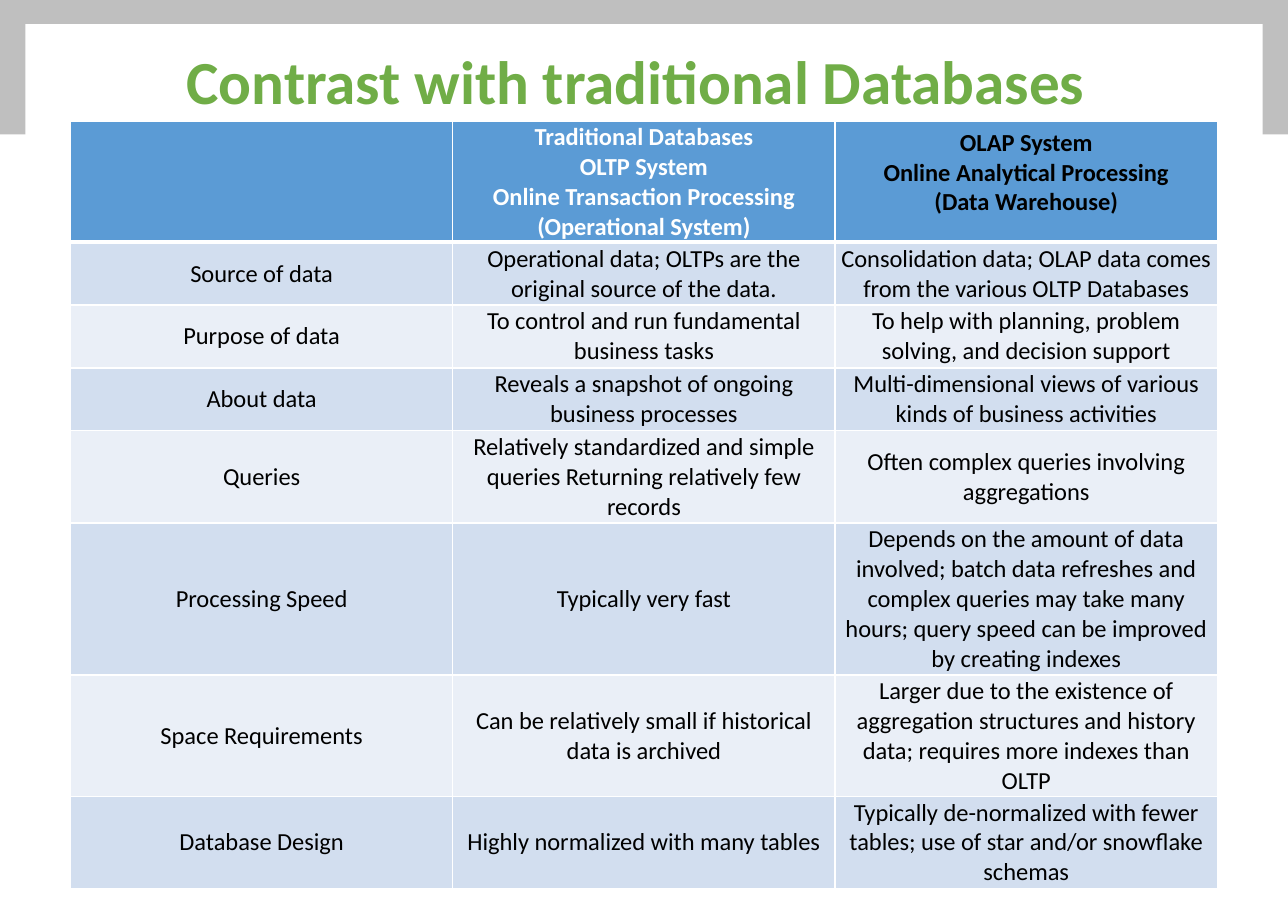
from pptx import Presentation
from pptx.dml.color import RGBColor
from pptx.enum.shapes import MSO_SHAPE
from pptx.enum.text import MSO_ANCHOR, PP_ALIGN
from pptx.oxml import parse_xml
from pptx.oxml.ns import nsdecls
from pptx.util import Inches, Pt

WHITE = RGBColor(0xFF, 0xFF, 0xFF)
BLACK = RGBColor(0, 0, 0)
GRAY = RGBColor(0xBF, 0xBF, 0xBF)
GREEN = RGBColor(0x70, 0xAD, 0x47)
BLUE = RGBColor(0x5B, 0x9B, 0xD5)
BANDS = [RGBColor(0xEA, 0xEF, 0xF7), RGBColor(0xD2, 0xDE, 0xEF)]

# \v is a line break, \n a new paragraph
ROWS = [
    ("", "Traditional Databases\nOLTP System\vOnline Transaction Processing\v(Operational System)",
     "OLAP System\vOnline Analytical Processing\v(Data Warehouse)"),
    ("Source of data", "Operational data; OLTPs are the original source of the data.",
     "Consolidation data; OLAP data comes from the various OLTP Databases"),
    ("Purpose of data", "To control and run fundamental business tasks",
     "To help with planning, problem solving, and decision support"),
    ("About data", "Reveals a snapshot of ongoing business processes",
     "Multi-dimensional views of various kinds of business activities"),
    ("Queries", "Relatively standardized and simple queries Returning relatively few records",
     "Often complex queries involving aggregations"),
    ("Processing Speed", "Typically very fast",
     "Depends on the amount of data involved; batch data refreshes and complex queries "
     "may take many hours; query speed can be improved by creating indexes"),
    ("Space Requirements", "Can be relatively small if historical data is archived",
     "Larger due to the existence of aggregation structures and history data; "
     "requires more indexes than OLTP"),
    ("Database Design", "Highly normalized with many tables",
     "Typically de-normalized with fewer tables; use of star and/or snowflake schemas"),
]
HEIGHTS = [1.1, 0.57, 0.57, 0.57, 0.84, 1.38, 1.1, 0.84]
COL_WIDTH = 3.47


def style_paragraph(p, size, color, bold):
    p.alignment = PP_ALIGN.CENTER
    p.font.name = "Calibri"
    p.font.size = Pt(size)
    p.font.bold = bold
    p.font.color.rgb = color


def add_borders(cell, top, bottom):
    """Draw white cell borders; top and bottom widths are in points."""
    for side, width in (("L", 1), ("R", 1), ("T", top), ("B", bottom)):
        cell._tc.get_or_add_tcPr().append(parse_xml(
            f'<a:ln{side} {nsdecls("a")} w="{Pt(width)}"><a:solidFill>'
            f'<a:srgbClr val="{WHITE}"/></a:solidFill></a:ln{side}>'))


prs = Presentation()
prs.slide_width, prs.slide_height = Inches(11.69), Inches(8.27)
s = prs.slides.add_slide(prs.slide_layouts[6])

# Gray band with the white page over it
for box, color in (((0, 0, 11.69, 1.22), GRAY), ((0.23, 0.22, 11.23, 8.04), WHITE)):
    sp = s.shapes.add_shape(MSO_SHAPE.RECTANGLE, *map(Inches, box))
    sp.shadow.inherit = False
    sp.fill.solid()
    sp.fill.fore_color.rgb = color
    sp.line.fill.background()

# Title
title = s.shapes.add_textbox(Inches(0.32), Inches(0.3), Inches(11.05), Inches(0.65))
tf = title.text_frame
tf.word_wrap = True
tf.margin_top = Inches(0.09)
tf.margin_right = Inches(0.25)
tf.text = "Contrast with traditional Databases"
style_paragraph(tf.paragraphs[0], 40, GREEN, True)

# Comparison table
table = s.shapes.add_table(len(ROWS), 3, Inches(0.64), Inches(1.1),
                           Inches(3 * COL_WIDTH), Inches(sum(HEIGHTS))).table
for col in table.columns:
    col.width = Inches(COL_WIDTH)

for i, (texts, height) in enumerate(zip(ROWS, HEIGHTS)):
    table.rows[i].height = Inches(height)
    header = i == 0
    for j, text in enumerate(texts):
        cell = table.cell(i, j)
        add_borders(cell, top=3 if i == 1 else 1, bottom=3 if header else 1)
        cell.fill.solid()
        cell.fill.fore_color.rgb = BLUE if header else BANDS[i % 2]
        olap_header = header and j == 2
        cell.vertical_anchor = MSO_ANCHOR.TOP if olap_header else MSO_ANCHOR.MIDDLE
        cell.margin_left = cell.margin_right = Inches(0.11 if olap_header else 0.01)
        cell.margin_top = cell.margin_bottom = Inches(0.06 if olap_header else 0.01)
        cell.text = text
        for p in cell.text_frame.paragraphs:
            style_paragraph(p, 16, WHITE if header and j < 2 else BLACK, header)

prs.save("out.pptx")
